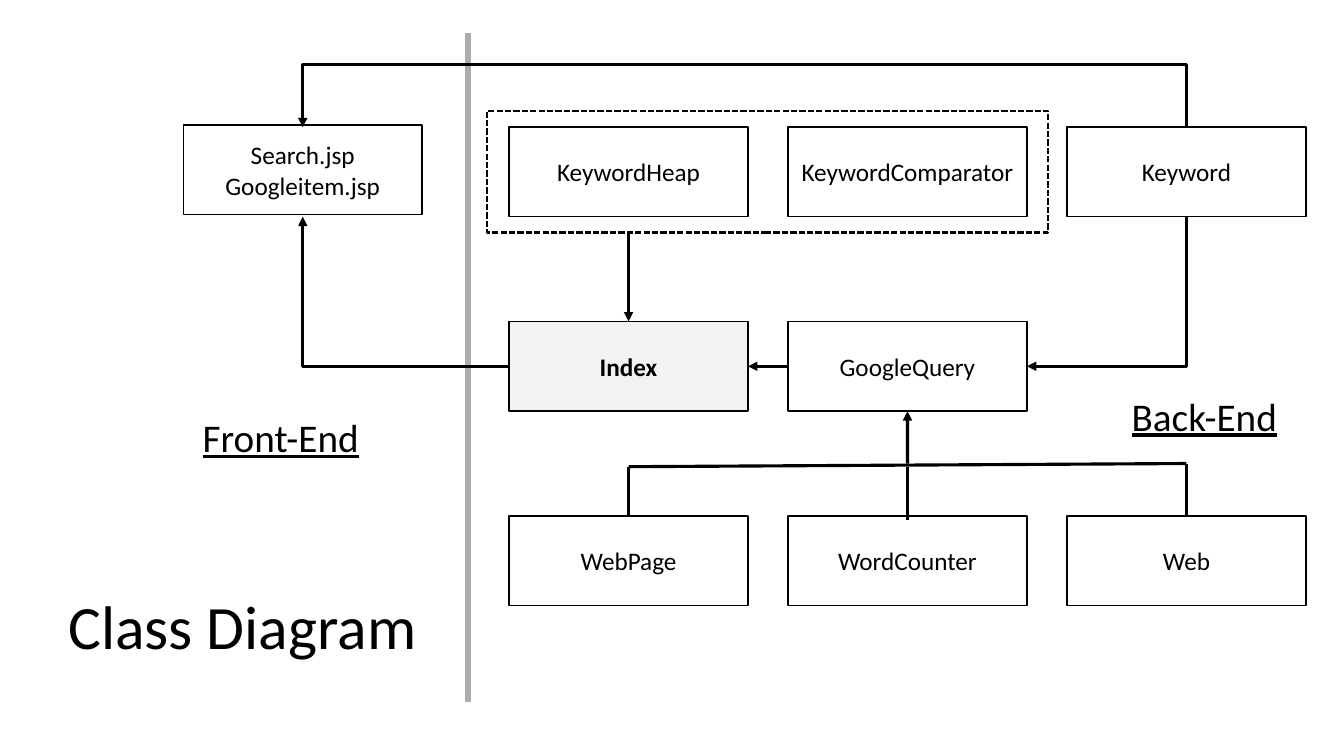
from dataclasses import dataclass

from lxml import etree
from pptx import Presentation
from pptx.dml.color import RGBColor
from pptx.enum.dml import MSO_LINE
from pptx.enum.shapes import MSO_CONNECTOR, MSO_SHAPE
from pptx.enum.text import MSO_ANCHOR, MSO_AUTO_SIZE, PP_ALIGN
from pptx.oxml.ns import qn
from pptx.shapes.autoshape import Shape
from pptx.shapes.connector import Connector
from pptx.slide import Slide
from pptx.util import Cm, Pt

RECT = MSO_SHAPE.RECTANGLE
STRAIGHT, ELBOW = MSO_CONNECTOR.STRAIGHT, MSO_CONNECTOR.ELBOW
DASH = MSO_LINE.SQUARE_DOT
LEFT, CENTER = PP_ALIGN.LEFT, PP_ALIGN.CENTER
MIDDLE = MSO_ANCHOR.MIDDLE
FIT_SHAPE = MSO_AUTO_SIZE.SHAPE_TO_FIT_TEXT
TOP_SIDE, LEFT_SIDE, BOTTOM_SIDE, RIGHT_SIDE = range(4)

FONT = "Calibri"
BLACK, WHITE, PALE, GRAY = "000000", "FFFFFF", "F2F2F2", "AFABAB"
BOX_W, BOX_H = 6.02, 2.26
COLS = [12.83 + 7.03 * i for i in range(3)]
ROWS = [3.2 + 4.9 * i for i in range(3)]
MID_X = [x + BOX_W / 2 for x in COLS]
FRONT_X, FRONT_Y = 4.62, 3.15
FRONT_MID = FRONT_X + BOX_W / 2
QUERY_Y = ROWS[1] + BOX_H / 2
GROUP_TOP, GROUP_H = 2.79, 3.07
BUS_LEFT_Y, BUS_RIGHT_Y = 11.76, 11.68

Point = tuple[float, float]


@dataclass
class ClassBox:
    text: str
    x: float
    y: float
    fill: str = WHITE
    bold: bool = False


@dataclass
class Link:
    start: Point
    end: Point
    color: str = BLACK
    width: float = 2.25
    arrow: bool = False
    begin_at: tuple[str, int] | None = None
    end_at: tuple[str, int] | None = None


@dataclass
class Bend:
    start: Point
    end: Point
    rotation: int
    preset: str = "bentConnector2"
    flipped: bool = False
    adjust: int | None = None


@dataclass
class Label:
    text: str
    x: float
    y: float
    w: float


BOXES = [
    ClassBox("KeywordHeap", COLS[0], ROWS[0]),
    ClassBox("KeywordComparator", COLS[1], ROWS[0]),
    ClassBox("Keyword", COLS[2], ROWS[0]),
    ClassBox("Index", COLS[0], ROWS[1], PALE, True),
    ClassBox("GoogleQuery", COLS[1], ROWS[1]),
    ClassBox("WebPage", COLS[0], ROWS[2]),
    ClassBox("WordCounter", COLS[1], ROWS[2]),
    ClassBox("Web", COLS[2], ROWS[2]),
    ClassBox("Search.jsp\nGoogleitem.jsp", FRONT_X, FRONT_Y),
]
DIVIDER = Link((11.79, 0.84), (11.79, 17.7), GRAY, 4.5)
LINKS = [
    Link((MID_X[2], ROWS[2]), (MID_X[2], BUS_RIGHT_Y), begin_at=("Web", TOP_SIDE)),
    Link((MID_X[1], 13.1), (MID_X[1], BUS_LEFT_Y)),
    Link((MID_X[2], BUS_RIGHT_Y), (MID_X[0], BUS_LEFT_Y)),
    Link((MID_X[0], ROWS[2]), (MID_X[0], BUS_LEFT_Y), begin_at=("WebPage", TOP_SIDE)),
    Link((MID_X[1], BUS_RIGHT_Y), (MID_X[1], ROWS[1] + BOX_H), arrow=True,
         end_at=("GoogleQuery", BOTTOM_SIDE)),
    Link((MID_X[0], GROUP_TOP + GROUP_H), (MID_X[0], ROWS[1]), arrow=True,
         end_at=("Index", TOP_SIDE)),
    Link((COLS[1], QUERY_Y), (COLS[0] + BOX_W, QUERY_Y), arrow=True,
         begin_at=("GoogleQuery", LEFT_SIDE), end_at=("Index", RIGHT_SIDE)),
]
BENDS = [
    Bend((MID_X[2], ROWS[0] + BOX_H), (COLS[2] - 1.01, QUERY_Y), 90),
    Bend((COLS[0], QUERY_Y), (FRONT_MID, 5.46), 180),
    Bend((MID_X[2], ROWS[0]), (FRONT_MID, ROWS[0] + 0.01), 270,
         "bentConnector3", True, -15700000),
]
LABELS = [Label("Front-End", 4.86, 10.29, 5.54), Label("Back-End", 28.27, 9.75, 6.07)]


def rgb(color: str) -> RGBColor:
    return RGBColor.from_string(color)


def style_text(shape: Shape, size: int, align: PP_ALIGN) -> None:
    for p in shape.text_frame.paragraphs:
        p.alignment = align
        p.font.name = FONT
        p.font.size = Pt(size)
        p.font.color.rgb = rgb(BLACK)


def add_rect(s: Slide, x: float, y: float, w: float, h: float,
             fill: str, line: float) -> Shape:
    sp = s.shapes.add_shape(RECT, Cm(x), Cm(y), Cm(w), Cm(h))
    sp.shadow.inherit = False
    sp.fill.solid()
    sp.fill.fore_color.rgb = rgb(fill)
    sp.line.color.rgb = rgb(BLACK)
    sp.line.width = Pt(line)
    return sp


def add_class(s: Slide, box: ClassBox) -> Shape:
    sp = add_rect(s, box.x, box.y, BOX_W, BOX_H, box.fill, 1)
    sp.text_frame.text = box.text
    sp.text_frame.vertical_anchor = MIDDLE
    style_text(sp, 18, CENTER)
    for p in sp.text_frame.paragraphs:
        p.font.bold = box.bold
    return sp


def style_line(c: Connector, color: str, width: float, arrow: bool) -> None:
    c.line.color.rgb = rgb(color)
    c.line.width = Pt(width)
    if arrow:
        etree.SubElement(c.line._get_or_add_ln(), qn("a:tailEnd"), type="triangle")
    etree.SubElement(c._element.spPr, qn("a:effectLst"))


def add_link(s: Slide, link: Link, shapes: dict[str, Shape]) -> None:
    (x1, y1), (x2, y2) = link.start, link.end
    c = s.shapes.add_connector(STRAIGHT, Cm(x1), Cm(y1), Cm(x2), Cm(y2))
    if link.begin_at:
        c.begin_connect(shapes[link.begin_at[0]], link.begin_at[1])
    if link.end_at:
        c.end_connect(shapes[link.end_at[0]], link.end_at[1])
    style_line(c, link.color, link.width, link.arrow)


def add_bend(s: Slide, bend: Bend) -> None:
    (x1, y1), (x2, y2) = bend.start, bend.end
    w, h = abs(x2 - x1), abs(y2 - y1)
    if bend.rotation % 180:
        w, h = h, w
    left, top = (x1 + x2 - w) / 2, (y1 + y2 - h) / 2
    c = s.shapes.add_connector(ELBOW, Cm(left), Cm(top), Cm(left + w), Cm(top + h))
    xfrm = c._element.spPr.find(qn("a:xfrm"))
    xfrm.set("rot", str(bend.rotation * 60000))
    if bend.flipped:
        xfrm.set("flipH", "1")
        xfrm.set("flipV", "1")
    geom = c._element.spPr.find(qn("a:prstGeom"))
    geom.set("prst", bend.preset)
    if bend.adjust is not None:
        etree.SubElement(geom.find(qn("a:avLst")), qn("a:gd"),
                         name="adj1", fmla=f"val {bend.adjust}")
    style_line(c, BLACK, 2.25, True)


def add_label(s: Slide, label: Label) -> None:
    sp = s.shapes.add_textbox(Cm(label.x), Cm(label.y), Cm(label.w), Cm(1.45))
    tf = sp.text_frame
    tf.word_wrap = True
    tf.auto_size = FIT_SHAPE
    tf.text = label.text
    style_text(sp, 28, LEFT)
    tf.paragraphs[0].font.underline = True


def set_title(s: Slide) -> None:
    title = s.shapes.title
    title.left, title.top, title.width, title.height = Cm(1.47), Cm(14.02), Cm(29.21), Cm(3.68)
    title.text_frame.text = "Class Diagram"
    title.text_frame.vertical_anchor = MIDDLE
    style_text(title, 44, LEFT)
    title.text_frame.paragraphs[0].line_spacing = 0.9


def main() -> None:
    prs = Presentation()
    prs.slide_width, prs.slide_height = Cm(33.87), Cm(19.05)
    s = prs.slides.add_slide(prs.slide_layouts[5])
    set_title(s)
    group = add_rect(s, 12.27, GROUP_TOP, 14.15, GROUP_H, WHITE, 1.5)
    group.line.dash_style = DASH
    add_link(s, DIVIDER, {})
    shapes = {box.text: add_class(s, box) for box in BOXES}
    for link in LINKS:
        add_link(s, link, shapes)
    for bend in BENDS:
        add_bend(s, bend)
    for label in LABELS:
        add_label(s, label)
    prs.save("out.pptx")


if __name__ == "__main__":
    main()
